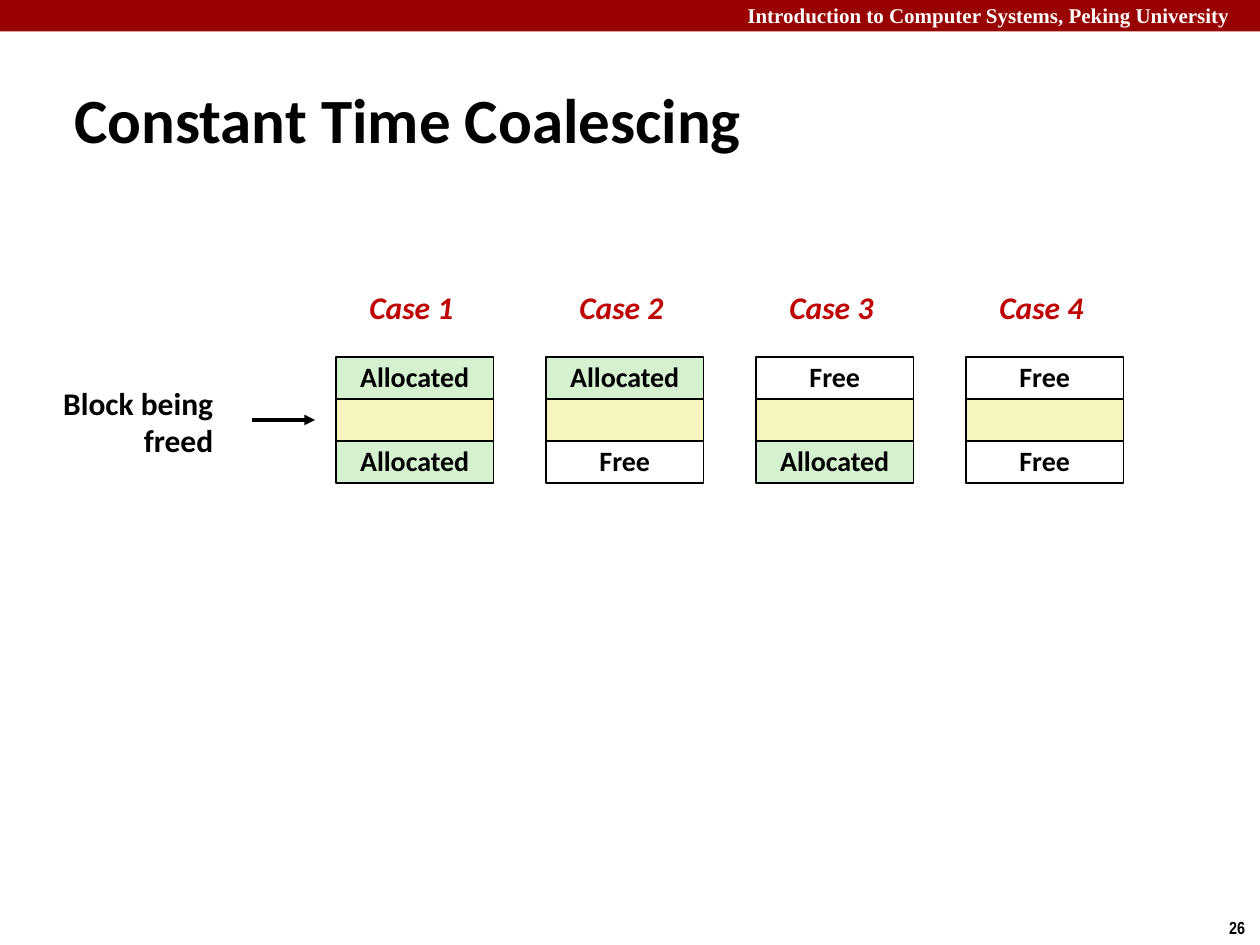
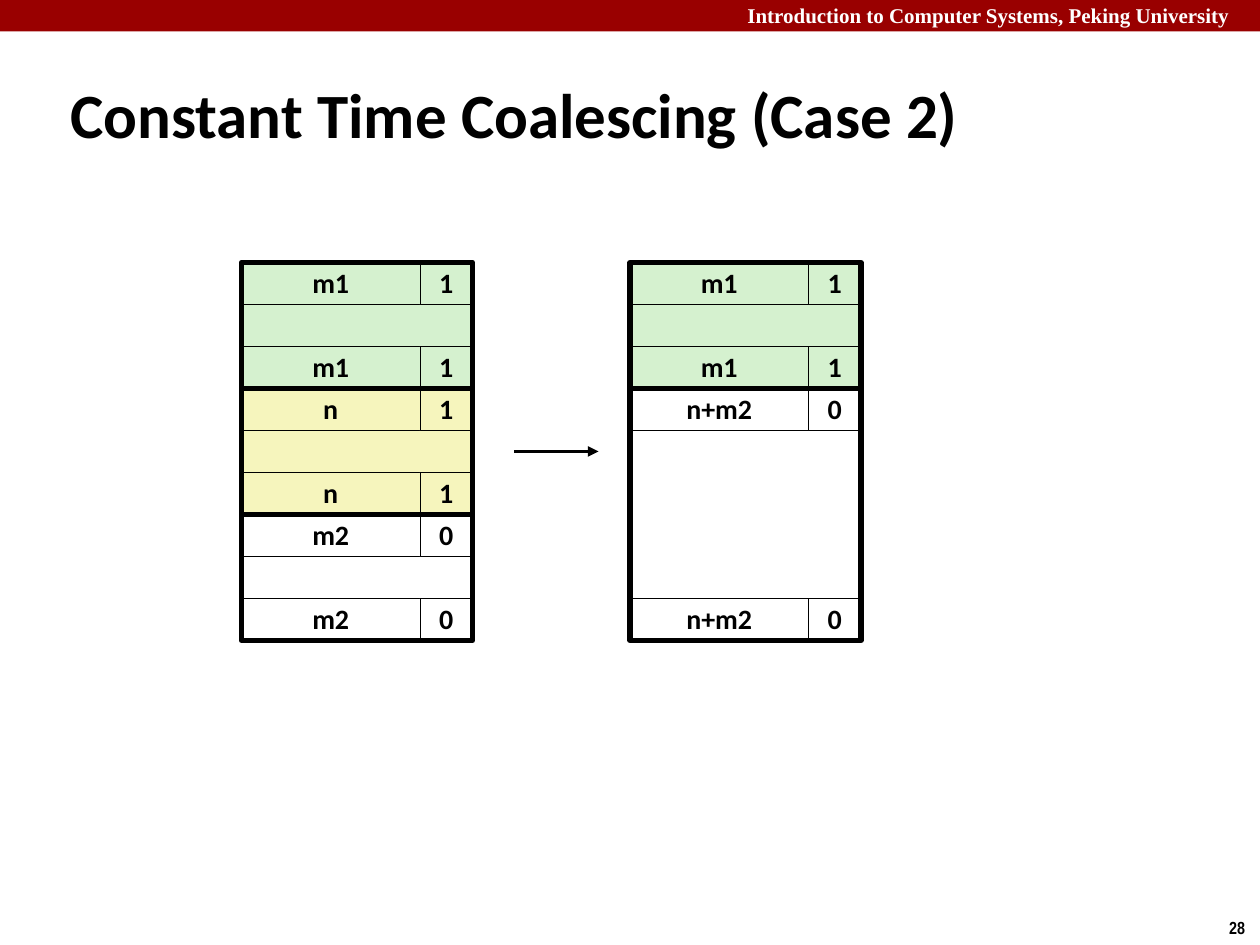
from pptx import Presentation
from pptx.dml.color import RGBColor
from pptx.enum.shapes import MSO_CONNECTOR, MSO_SHAPE
from pptx.enum.text import MSO_ANCHOR, MSO_AUTO_SIZE, PP_ALIGN
from pptx.oxml.ns import qn
from pptx.util import Emu, Pt
from lxml import etree

RECT = MSO_SHAPE.RECTANGLE
STRAIGHT = MSO_CONNECTOR.STRAIGHT
MIDDLE = MSO_ANCHOR.MIDDLE
NO_AUTOFIT = MSO_AUTO_SIZE.NONE
LEFT, CENTER, RIGHT = PP_ALIGN.LEFT, PP_ALIGN.CENTER, PP_ALIGN.RIGHT

BLACK = RGBColor(0x00, 0x00, 0x00)
WHITE = RGBColor(0xFF, 0xFF, 0xFF)
BAND_RED = RGBColor(0x99, 0x00, 0x00)
CASE_RED = RGBColor(0xC0, 0x00, 0x00)
GREEN = RGBColor(0xD5, 0xF1, 0xCF)
YELLOW = RGBColor(0xF6, 0xF5, 0xBD)

EMU_PER_PX = 9525
TITLE_ONLY = 5
ROW_H = 32
SIZE_W, FLAG_W = 136, 40
BLOCK_W = SIZE_W + FLAG_W


def px(*lengths):
    return [Emu(n * EMU_PER_PX) for n in lengths]


def style(p, size, color=BLACK, name="Calibri", align=LEFT, italic=False):
    p.alignment = align
    f = p.font
    f.name, f.size, f.bold, f.italic = name, Pt(size), True, italic
    f.color.rgb = color


def add_text(slide, box, lines, size, wrap=False, spacing=0.98, **look):
    tf = slide.shapes.add_textbox(*px(*box)).text_frame
    tf.word_wrap = wrap
    tf.text = "\n".join(lines)
    for p in tf.paragraphs:
        p.line_spacing = spacing
        style(p, size, **look)


def add_rect(slide, box, fill=None, line=None, text=""):
    s = slide.shapes.add_shape(RECT, *px(*box))
    s.shadow.inherit = False
    if fill is None:
        s.fill.background()
    else:
        s.fill.solid()
        s.fill.fore_color.rgb = fill
    if line is None:
        s.line.fill.background()
    else:
        s.line.color.rgb = BLACK
        s.line.width = Pt(line)
    if text:
        tf = s.text_frame
        tf.word_wrap = False
        tf.vertical_anchor = MIDDLE
        p = tf.paragraphs[0]
        p.text = text
        p.line_spacing = 0.98
        style(p, 16, align=CENTER)


def add_arrow(slide, left, right, y):
    c = slide.shapes.add_connector(STRAIGHT, *px(left, y, right, y))
    c.line.color.rgb = BLACK
    c.line.width = Pt(2)
    etree.SubElement(c.line._get_or_add_ln(), qn("a:tailEnd"), type="triangle")
    etree.SubElement(c._element.spPr, qn("a:effectLst"))


def add_slide(prs, title, title_box, number):
    slide = prs.slides.add_slide(prs.slide_layouts[TITLE_ONLY])
    add_rect(slide, (0, 0, 960, 24), BAND_RED)
    add_text(slide, (560, -3, 400, 29),
             ["Introduction to Computer Systems, Peking University"], 12,
             wrap=True, spacing=1, color=WHITE, name="Times New Roman")
    add_text(slide, (927, 694, 33, 26), [str(number)], 10,
             spacing=1, name="Arial Narrow")
    s = slide.shapes.title
    s.left, s.top, s.width, s.height = px(*title_box)
    tf = s.text_frame
    tf.auto_size = NO_AUTOFIT
    tf.vertical_anchor = MIDDLE
    tf.text = title
    style(tf.paragraphs[0], 36)
    return slide


def add_case(slide, number, x, before, after):
    top = 272
    add_text(slide, (x + 16, 216, 84, 38), [f"Case {number}"], 18,
             color=CASE_RED, italic=True)
    for row, state in enumerate((before, "", after)):
        fill = {"Allocated": GREEN, "Free": WHITE, "": YELLOW}[state]
        add_rect(slide, (x, top + row * ROW_H, 120, ROW_H), fill, 1, state)


def add_block(slide, x, y, rows, size, flag, fill):
    height = rows * ROW_H
    add_rect(slide, (x, y + ROW_H, BLOCK_W, height - 2 * ROW_H), fill, 0.25)
    for tag_y in (y, y + height - ROW_H):
        add_rect(slide, (x, tag_y, SIZE_W, ROW_H), fill, 0.25, size)
        add_rect(slide, (x + SIZE_W, tag_y, FLAG_W, ROW_H), fill, 0.25, flag)
    add_rect(slide, (x, y, BLOCK_W, height), line=3)


def add_heap(slide, x, blocks):
    y = 200
    for rows, size, flag, fill in blocks:
        add_block(slide, x, y, rows, size, flag, fill)
        y += rows * ROW_H


def build_cases(prs):
    slide = add_slide(prs, "Constant Time Coalescing", (47, 60, 737, 60), 26)
    cases = [("Allocated", "Allocated"), ("Allocated", "Free"),
             ("Free", "Allocated"), ("Free", "Free")]
    for i, (before, after) in enumerate(cases):
        add_case(slide, i + 1, 256 + 160 * i, before, after)
    add_text(slide, (38, 289, 134, 67), ["Block being", "freed"], 18, align=RIGHT)
    add_arrow(slide, 192, 240, 320)


def build_case_2(prs):
    slide = add_slide(prs, "Constant Time Coalescing (Case 2)",
                      (44, 56, 872, 60), 28)
    allocated = (3, "m1", "1", GREEN)
    add_heap(slide, 184, [allocated, (3, "n", "1", YELLOW), (3, "m2", "0", WHITE)])
    add_heap(slide, 480, [allocated, (6, "n+m2", "0", WHITE)])
    add_arrow(slide, 392, 456, 344)


def main():
    prs = Presentation()
    prs.slide_width, prs.slide_height = px(960, 720)
    build_cases(prs)
    build_case_2(prs)
    prs.save("out.pptx")


if __name__ == "__main__":
    main()
